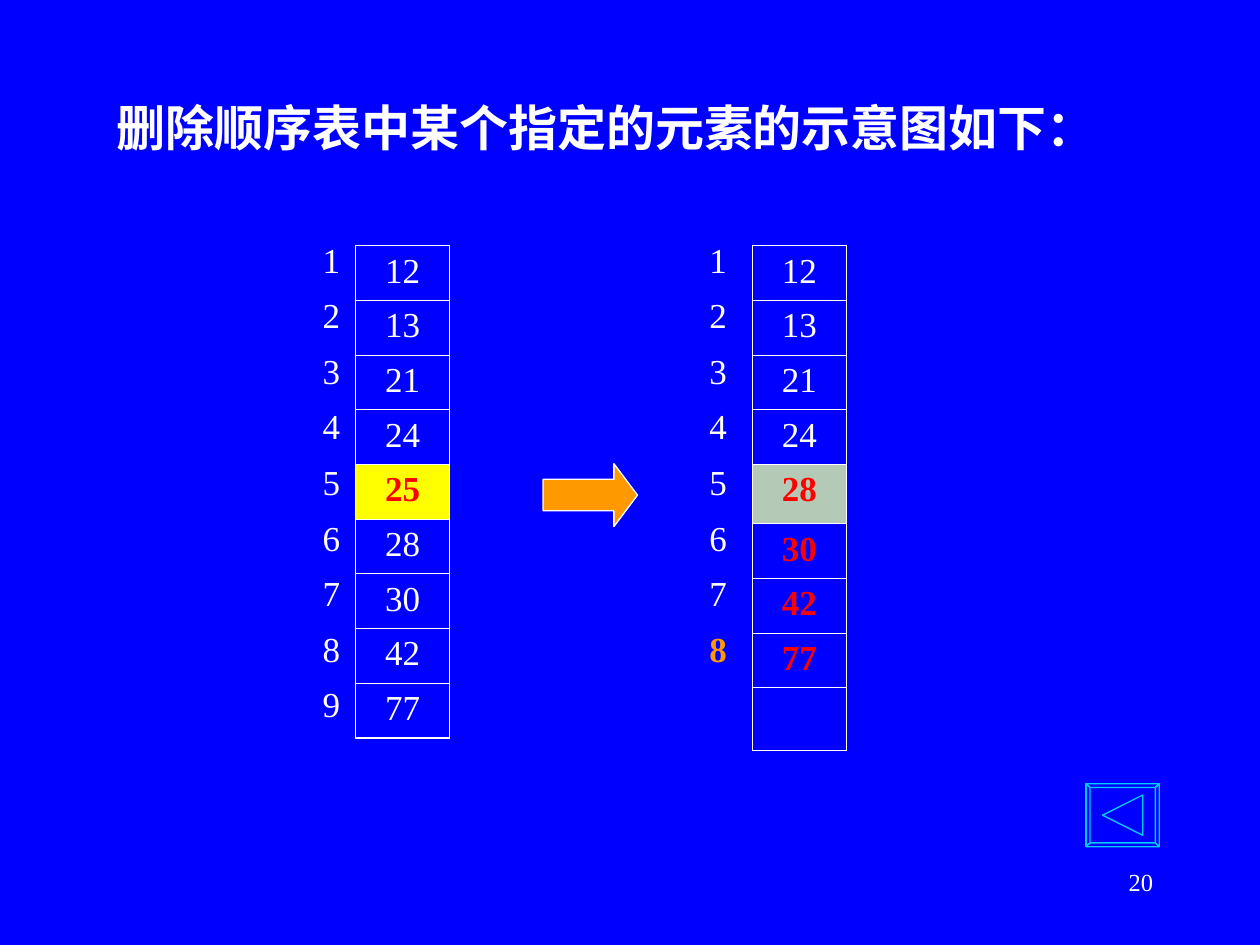
from dataclasses import dataclass
from lxml.etree import SubElement
from pptx import Presentation
from pptx.dml.color import RGBColor
from pptx.enum.shapes import MSO_SHAPE
from pptx.enum.text import MSO_ANCHOR, PP_ALIGN
from pptx.oxml.ns import qn
from pptx.util import Inches, Pt

COLS, ROWS = 100, 75
WIDE, HIGH = Inches(10), Inches(7.5)
PLAIN = "{2D5ABB26-0587-4C30-8999-92F81FD0307C}"


@dataclass(frozen=True)
class Theme:
    blue: str = "0000FF"
    white: str = "FFFFFF"
    red: str = "FF0000"
    gold: str = "FF9900"
    yellow: str = "FFFF00"
    sage: str = "B4CAB6"
    cyan: str = "00CCFF"
    serif: str = "Times New Roman"
    sans: str = "Noto Sans CJK SC"
    title: int = 28
    body: int = 20
    small: int = 14
    thin: float = 0.45
    thick: float = 1.08
    edge: float = 0.75


THEME = Theme()


@dataclass(frozen=True)
class Box:
    col: float
    row: float
    wide: float
    high: float

    def place(self) -> tuple[int, int, int, int]:
        return across(self.col), down(self.row), across(self.wide), down(self.high)


@dataclass(frozen=True)
class Cell:
    text: str = ""
    tint: str = THEME.white
    bold: bool = False
    fill: str | None = None
    high: float | None = None


@dataclass(frozen=True)
class Stack:
    box: Box
    cells: list[Cell]
    ruled: bool = False


def across(cols: float) -> int:
    return round(WIDE * cols / COLS)


def down(rows: float) -> int:
    return round(HIGH * rows / ROWS)


def rgb(tint: str) -> RGBColor:
    return RGBColor.from_string(tint)


def write(frame, text: str, align, size: int, face: str = THEME.serif,
          tint: str = THEME.white, bold: bool = False) -> None:
    para = frame.paragraphs[0]
    para.alignment = align
    run = para.add_run()
    run.text = text
    look = {"size": Pt(size), "name": face, "bold": bold}
    for key, value in look.items():
        setattr(run.font, key, value)
    run.font.color.rgb = rgb(tint)
    SubElement(run.font._element, qn("a:ea"), typeface=face)


def label(slide, box: Box, text: str, align, size: int, face: str, bold: bool, anchor) -> None:
    frame = slide.shapes.add_textbox(*box.place()).text_frame
    look = {"word_wrap": True, "vertical_anchor": anchor}
    for key, value in look.items():
        setattr(frame, key, value)
    write(frame, text, align, size, face, bold=bold)


def rule(cell, base: float) -> None:
    props = cell._tc.get_or_add_tcPr()
    widths = {"lnL": THEME.thin, "lnR": THEME.thin, "lnT": THEME.thin, "lnB": base}
    for side, width in widths.items():
        line = SubElement(props, qn(f"a:{side}"), w=str(Pt(width)))
        fill = SubElement(line, qn("a:solidFill"))
        SubElement(fill, qn("a:srgbClr"), val=THEME.white)


def draw(slide, stack: Stack) -> None:
    count = len(stack.cells)
    table = slide.shapes.add_table(count, 1, *stack.box.place()).table
    for key, value in {"first_row": False, "horz_banding": False}.items():
        setattr(table, key, value)
    table._tbl.tblPr.find(qn("a:tableStyleId")).text = PLAIN
    for spot, item in enumerate(stack.cells):
        table.rows[spot].height = down(item.high or stack.box.high / count)
        cell = table.cell(spot, 0)
        if stack.ruled:
            rule(cell, THEME.thick if spot == count - 1 else THEME.thin)
        if item.fill:
            cell.fill.solid()
            cell.fill.fore_color.rgb = rgb(item.fill)
        else:
            cell.fill.background()
        if item.text:
            write(cell.text_frame, item.text, PP_ALIGN.CENTER, THEME.body,
                  tint=item.tint, bold=item.bold)


def arrow(slide, box: Box) -> None:
    shape = slide.shapes.add_shape(MSO_SHAPE.RIGHT_ARROW, *box.place())
    shape.shadow.inherit = False
    shape.adjustments[0], shape.adjustments[1] = 0.5, 0.375
    shape.fill.solid()
    shape.fill.fore_color.rgb = rgb(THEME.gold)
    shape.line.color.rgb = rgb(THEME.white)
    shape.line.width = Pt(THEME.edge)


def ring(box: Box, inset: float) -> list[tuple[float, float]]:
    left, top = box.col + inset, box.row + inset
    right, base = box.col + box.wide - inset, box.row + box.high - inset
    return [(left, top), (right, top), (right, base), (left, base)]


def button(slide, box: Box) -> None:
    outer, inner = ring(box, 0), ring(box, 0.3)
    mid, half = box.row + box.high / 2, 1.6
    left = box.col + box.wide / 2 - half
    bevels = [[outer[i], outer[(i + 1) % 4], inner[(i + 1) % 4], inner[i]] for i in range(4)]
    mark = [(left, mid), (left + 2 * half, mid - half), (left + 2 * half, mid + half)]
    paths = [[(across(x), down(y)) for x, y in path] for path in [outer, *bevels, mark]]
    pen = slide.shapes.build_freeform(*paths[0][0])
    for path in paths:
        pen.move_to(*path[0])
        pen.add_line_segments(path[1:], close=True)
    shape = pen.convert_to_shape()
    shape.shadow.inherit = False
    shape.fill.background()
    shape.line.color.rgb = rgb(THEME.cyan)
    shape.line.width = Pt(THEME.edge)


def main() -> None:
    deck = Presentation()
    deck.slide_width, deck.slide_height = WIDE, HIGH
    slide = deck.slides.add_slide(deck.slide_layouts[6])
    slide.background.fill.solid()
    slide.background.fill.fore_color.rgb = rgb(THEME.blue)

    label(slide, Box(71.7, 68.3, 20.8, 5), "20", PP_ALIGN.RIGHT,
          THEME.small, THEME.serif, False, MSO_ANCHOR.TOP)

    old = [Cell(str(n), fill=THEME.blue) for n in (12, 13, 21, 24, 25, 28, 30, 42, 77)]
    old[4] = Cell("25", THEME.red, True, THEME.yellow)
    moved = [Cell(item.text, THEME.red, True, THEME.blue) for item in old[5:]]
    moved[0] = Cell("28", THEME.red, True, THEME.sage, 4.7)
    new = [*old[:4], *moved, Cell(fill=THEME.blue, high=5)]
    before = [Cell(str(n)) for n in range(1, 10)]
    after = [*before[:7], Cell("8", THEME.gold, True), Cell()]
    stacks = [
        Stack(Box(24.2, 18.7, 4.2, 39.7), before),
        Stack(Box(28.2, 19.5, 7.5, 39), old, True),
        Stack(Box(54.9, 18.7, 4.2, 39.7), after),
        Stack(Box(59.7, 19.5, 7.5, 39), new, True),
    ]
    for stack in stacks:
        draw(slide, stack)

    arrow(slide, Box(43.1, 36.8, 7.5, 5))
    label(slide, Box(8.3, 7.2, 82.6, 5.7), "删除顺序表中某个指定的元素的示意图如下：", PP_ALIGN.LEFT,
          THEME.title, THEME.sans, True, MSO_ANCHOR.MIDDLE)
    button(slide, Box(86.2, 62.2, 5.8, 5))
    deck.save("out.pptx")


if __name__ == "__main__":
    main()
